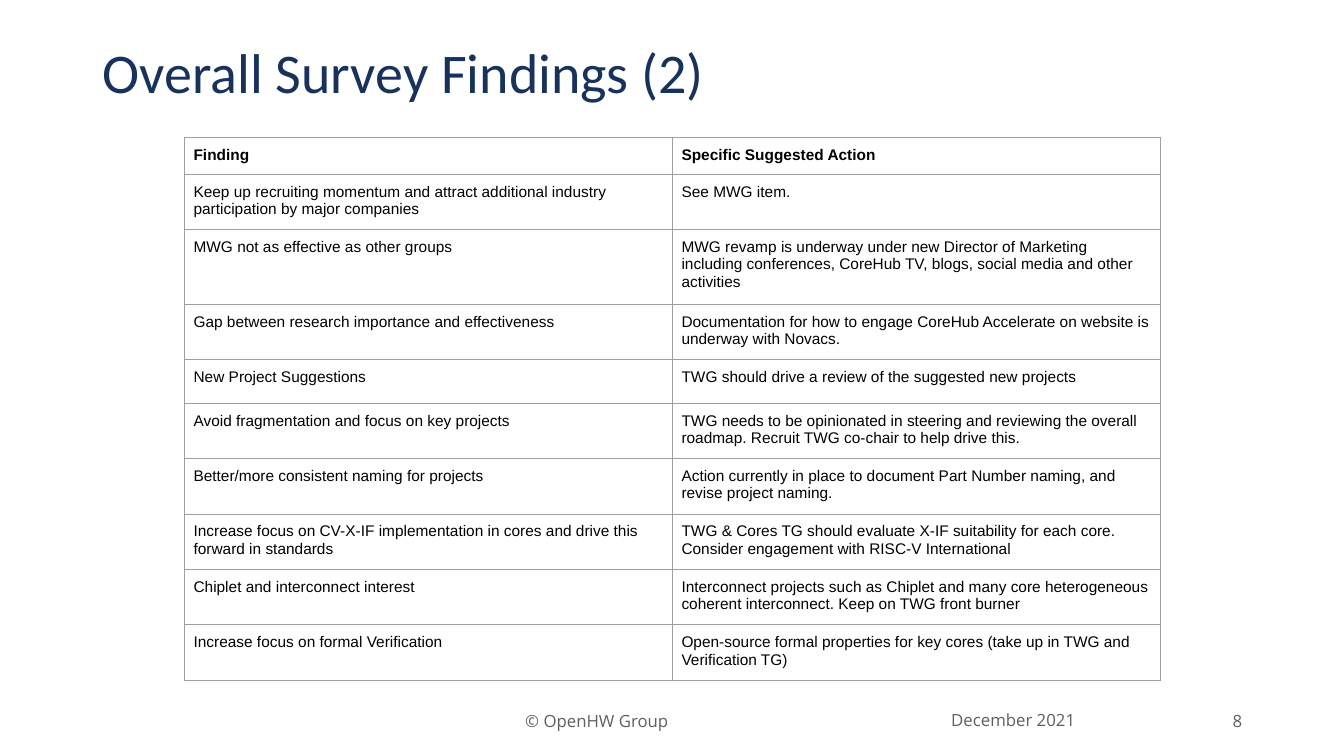
import dataclasses

import pptx
import pptx.dml.color
import pptx.enum.text
import pptx.oxml
import pptx.oxml.ns
import pptx.util

EMU_PER_PX = 9144  # 100 px to the inch
NAVY = pptx.dml.color.RGBColor(0x17, 0x32, 0x5D)
GREY = pptx.dml.color.RGBColor(0x5F, 0x5F, 0x5F)
BLACK = pptx.dml.color.RGBColor(0, 0, 0)
BORDER = pptx.dml.color.RGBColor(0x9E, 0x9E, 0x9E)
ALIGN = pptx.enum.text.PP_ALIGN
ANCHOR = pptx.enum.text.MSO_ANCHOR


@dataclasses.dataclass(frozen=True)
class FooterItem:
    text: str
    left: int
    top: int
    width: int
    align: ALIGN


@dataclasses.dataclass(frozen=True)
class Finding:
    finding: str
    action: str
    height: int = 55


FOOTER_HEIGHT = 40
FOOTER = [
    FooterItem("December 2021", 891, 694, 228, ALIGN.CENTER),
    FooterItem("© OpenHW Group", 367, 695, 450, ALIGN.CENTER),
    FooterItem("8", 1189, 695, 53, ALIGN.RIGHT),
]

TABLE_LEFT, TABLE_TOP, COLUMN_WIDTH, CELL_INSET = 183, 136, 484, 9
FINDINGS = [
    Finding("Finding", "Specific Suggested Action", 37),
    Finding("Keep up recruiting momentum and attract additional industry "
            "participation by major companies", "See MWG item."),
    Finding("MWG not as effective as other groups",
            "MWG revamp is underway under new Director of Marketing including "
            "conferences, CoreHub TV, blogs, social media and other activities", 74),
    Finding("Gap between research importance and effectiveness",
            "Documentation for how to engage CoreHub Accelerate on website "
            "is underway with Novacs."),
    Finding("New Project Suggestions",
            "TWG should drive a review of the suggested new projects", 43),
    Finding("Avoid fragmentation and focus on key projects",
            "TWG needs to be opinionated in steering and reviewing the overall "
            "roadmap. Recruit TWG co-chair to help drive this."),
    Finding("Better/more consistent naming for projects",
            "Action currently in place to document Part Number naming, and "
            "revise project naming."),
    Finding("Increase focus on CV-X-IF implementation in cores and drive this "
            "forward in standards",
            "TWG & Cores TG should evaluate X-IF suitability for each core.\n"
            "Consider engagement with RISC-V International"),
    Finding("Chiplet and interconnect interest",
            "Interconnect projects such as Chiplet and many core heterogeneous "
            "coherent interconnect. Keep on TWG front burner"),
    Finding("Increase focus on formal Verification",
            "Open-source formal properties for key cores (take up in TWG and "
            "Verification TG)", 51),
]


def px(length: int) -> pptx.util.Emu:
    return pptx.util.Emu(length * EMU_PER_PX)


def write(frame: pptx.text.text.TextFrame, text: str, font: str, size: int,
          color: pptx.dml.color.RGBColor, align: ALIGN = ALIGN.LEFT,
          bold: bool = False) -> None:
    frame.text = text
    frame.word_wrap = True
    for paragraph in frame.paragraphs:
        paragraph.alignment = align
        for run in paragraph.runs:
            run.font.name = font
            run.font.size = pptx.util.Pt(size)
            run.font.bold = bold
            run.font.color.rgb = color


def add_borders(cell: pptx.table._Cell) -> None:
    properties = cell._tc.get_or_add_tcPr()
    for position, side in enumerate(("lnL", "lnR", "lnT", "lnB")):
        properties.insert(position, pptx.oxml.parse_xml(
            f'<a:{side} {pptx.oxml.ns.nsdecls("a")} w="{pptx.util.Pt(0.75)}">'
            f'<a:solidFill><a:srgbClr val="{BORDER}"/></a:solidFill></a:{side}>'))


def add_title(slide: pptx.slide.Slide) -> None:
    title = slide.shapes.title
    title.left, title.top, title.width, title.height = map(px, (92, 40, 1111, 81))
    write(title.text_frame, "Overall Survey Findings (2)", "Calibri", 40, NAVY)
    title.text_frame.auto_size = pptx.enum.text.MSO_AUTO_SIZE.NONE
    title.text_frame.vertical_anchor = ANCHOR.TOP
    title.text_frame.paragraphs[0].line_spacing = 0.9


def add_footer_item(slide: pptx.slide.Slide, item: FooterItem) -> None:
    box = slide.shapes.add_textbox(
        px(item.left), px(item.top), px(item.width), px(FOOTER_HEIGHT))
    box.text_frame.vertical_anchor = ANCHOR.MIDDLE
    write(box.text_frame, item.text, "Open Sans", 12, GREY, item.align)


def add_findings(slide: pptx.slide.Slide) -> None:
    table = slide.shapes.add_table(
        len(FINDINGS), 2, px(TABLE_LEFT), px(TABLE_TOP), px(2 * COLUMN_WIDTH),
        px(sum(row.height for row in FINDINGS))).table
    table.horz_banding = False
    for column in table.columns:
        column.width = px(COLUMN_WIDTH)
    for index, row in enumerate(FINDINGS):
        table.rows[index].height = px(row.height)
        for cell, text in zip(table.rows[index].cells, (row.finding, row.action)):
            cell.margin_left = cell.margin_right = px(CELL_INSET)
            cell.margin_top = cell.margin_bottom = px(CELL_INSET)
            cell.fill.background()
            add_borders(cell)
            write(cell.text_frame, text, "Arial", 11, BLACK, bold=index == 0)


def main() -> None:
    deck = pptx.Presentation()
    deck.slide_width, deck.slide_height = px(1333), px(750)
    slide = deck.slides.add_slide(deck.slide_layouts.get_by_name("Title Only"))
    for item in FOOTER:
        add_footer_item(slide, item)
    add_findings(slide)
    add_title(slide)
    deck.save("out.pptx")


if __name__ == "__main__":
    main()
